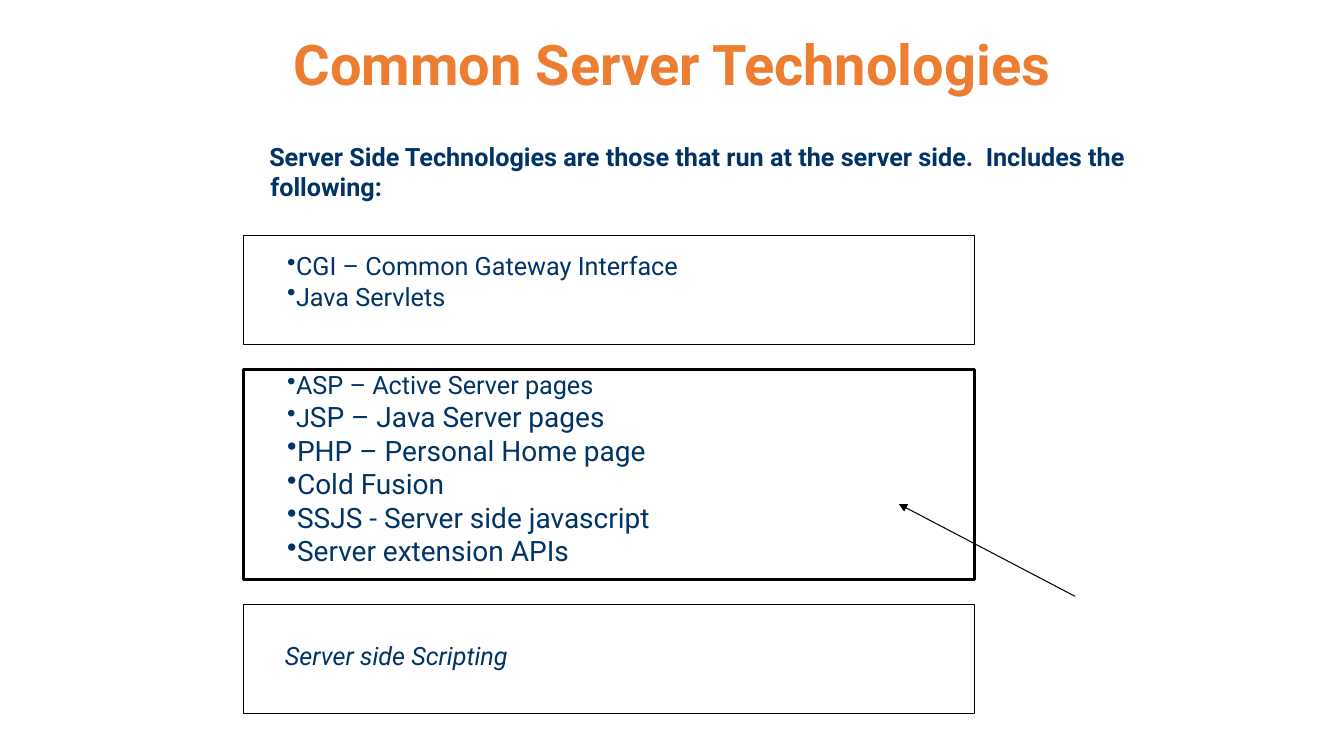
from lxml import etree
from pptx import Presentation
from pptx.dml.color import RGBColor
from pptx.enum.shapes import MSO_CONNECTOR, MSO_SHAPE
from pptx.enum.text import MSO_ANCHOR, PP_ALIGN
from pptx.oxml.ns import qn
from pptx.util import Pt

RECT = MSO_SHAPE.RECTANGLE
STRAIGHT = MSO_CONNECTOR.STRAIGHT
LEFT, CENTER = PP_ALIGN.LEFT, PP_ALIGN.CENTER
TOP, MIDDLE = MSO_ANCHOR.TOP, MSO_ANCHOR.MIDDLE
EMU_PER_PX = 9525
FONT, NAVY, ORANGE, BLACK = "Roboto", "003366", "ED7D31", "000000"

BOX_LEFT, BOX_TOP, BOX_WIDTH, BOX_GAP = 232, 224, 696, 24
GATEWAYS = [[("CGI – Common Gateway Interface", 18)], [("Java Servlets", 18)]]
SCRIPTING = [
    [("ASP – Active Server pages", 18)],
    [("J", 18), ("SP – Java Server pages", 20)],
    [("PHP – Personal Home page", 20)],
    [("Cold Fusion", 20)],
    [("SSJS - Server side javascript", 20)],
    [("Server extension APIs", 20)],
]
CAPTION = [[("Server side Scripting", 18)]]
BOXES = [
    dict(height=104, line=0.75, lines=GATEWAYS, dx=32, dy=10, bullet=True),
    dict(height=200, line=2.25, lines=SCRIPTING, dx=32, dy=-5, bullet=True),
    dict(height=104, line=0.75, lines=CAPTION, dx=30, dy=29, italic=True),
]


def px(*lengths):
    """Turn lengths in px into EMU."""
    return [n * EMU_PER_PX for n in lengths]


def color(hex_string):
    """Return the colour for a hex string."""
    return RGBColor.from_string(hex_string)


def add_text(slide, box, lines, fill=NAVY, bold=False, italic=False,
             align=LEFT, anchor=TOP, bullet=False, margin=0, indent=0):
    """Add a text box whose lines are lists of (text, size) runs."""
    tf = slide.shapes.add_textbox(*px(*box)).text_frame
    tf.word_wrap = True
    tf.vertical_anchor = anchor
    for i, runs in enumerate(lines):
        p = tf.paragraphs[0] if i == 0 else tf.add_paragraph()
        p.alignment = align
        pPr = p._p.get_or_add_pPr()
        pPr.set("marL", str(margin * EMU_PER_PX))
        pPr.set("indent", str(indent * EMU_PER_PX))
        if bullet:
            etree.SubElement(pPr, qn("a:buChar")).set("char", "•")
        for text, size in runs:
            r = p.add_run()
            r.text = text
            r.font.name, r.font.size = FONT, Pt(size)
            r.font.bold, r.font.italic = bold, italic
            r.font.color.rgb = color(fill)


def add_heading(slide, box):
    """Place the slide title and the introduction below it."""
    x, y, w, h = box
    add_text(slide, box, [[("Common Server Technologies", 40)]], fill=ORANGE,
             bold=True, align=CENTER, anchor=MIDDLE)
    intro = ("Server Side Technologies are those that run at the server side.  "
             "Includes the following:")
    add_text(slide, (x - 32, y + h + 10, w + 96, 69), [[(intro, 18)]],
             bold=True, margin=48, indent=-1)


def add_group(slide, box, line, lines, dx, dy, **style):
    """Place an outlined box and the text set at an offset inside it."""
    x, y, w, h = box
    sp = slide.shapes.add_shape(RECT, *px(*box))
    sp.shadow.inherit = False
    sp.fill.background()
    sp.line.color.rgb = color(BLACK)
    sp.line.width = Pt(line)
    add_text(slide, (x + dx, y + dy, w - 2 * dx, h - dy), lines, **style)


def add_arrow(slide, box):
    """Place an arrow from the lower right to the upper left of a box."""
    x, y, w, h = box
    arrow = slide.shapes.add_connector(STRAIGHT, *px(x + w, y + h, x, y))
    arrow.line.color.rgb = color(BLACK)
    arrow.line.width = Pt(0.75)
    etree.SubElement(arrow.line._get_or_add_ln(), qn("a:tailEnd")).set("type", "triangle")
    etree.SubElement(arrow._element.spPr, qn("a:effectLst"))


def main():
    """Build the slide and save it."""
    prs = Presentation()
    prs.slide_width, prs.slide_height = px(1280, 720)
    slide = prs.slides.add_slide(prs.slide_layouts[6])
    add_heading(slide, (232, 0, 816, 120))
    top = BOX_TOP
    for group in BOXES:
        style = dict(group)
        height = style.pop("height")
        add_group(slide, (BOX_LEFT, top, BOX_WIDTH, height), **style)
        top += height + BOX_GAP
    add_arrow(slide, (856, 480, 168, 88))
    prs.save("out.pptx")


if __name__ == "__main__":
    main()
